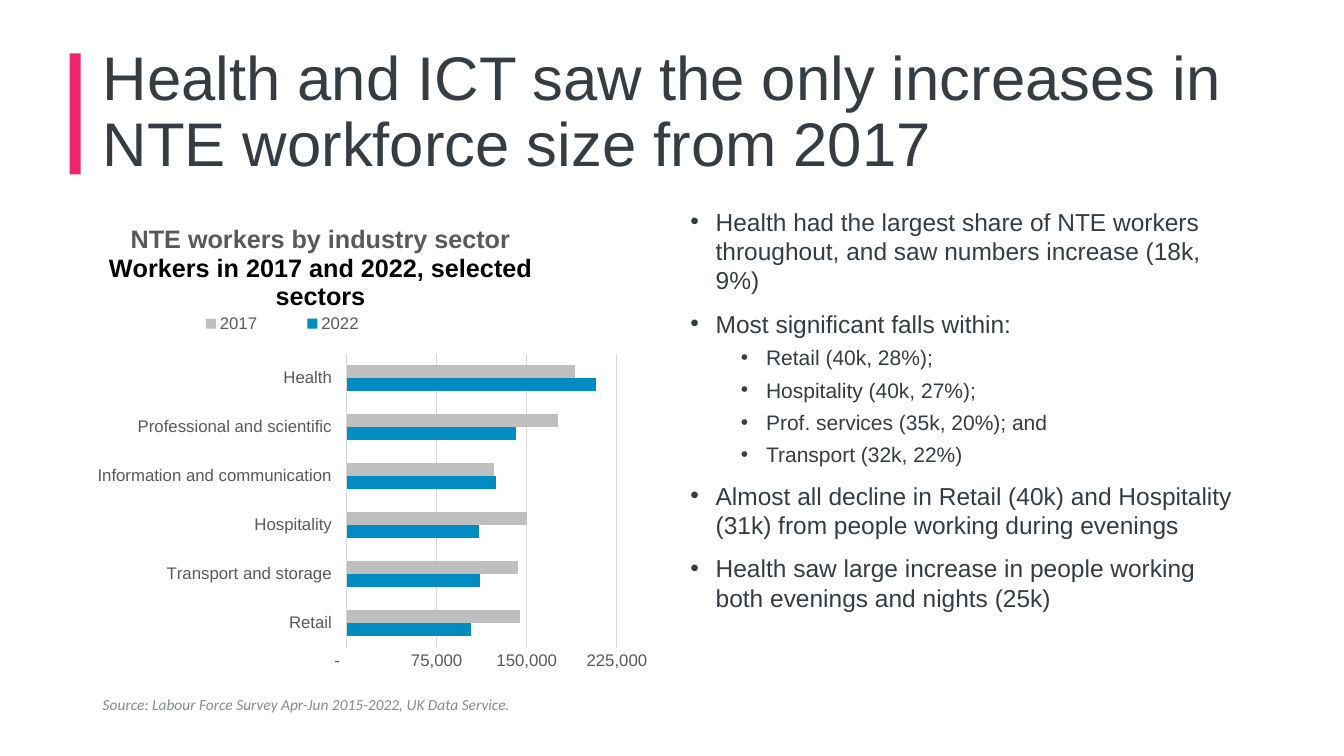
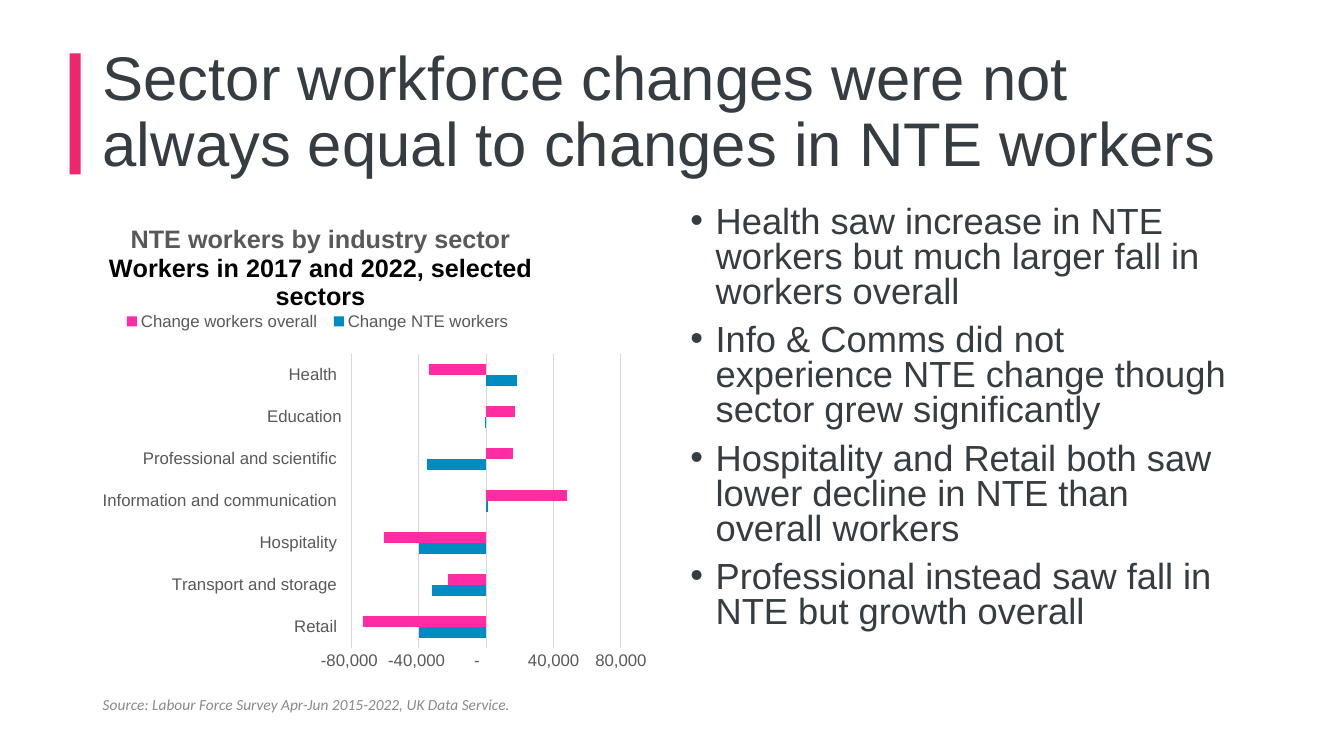
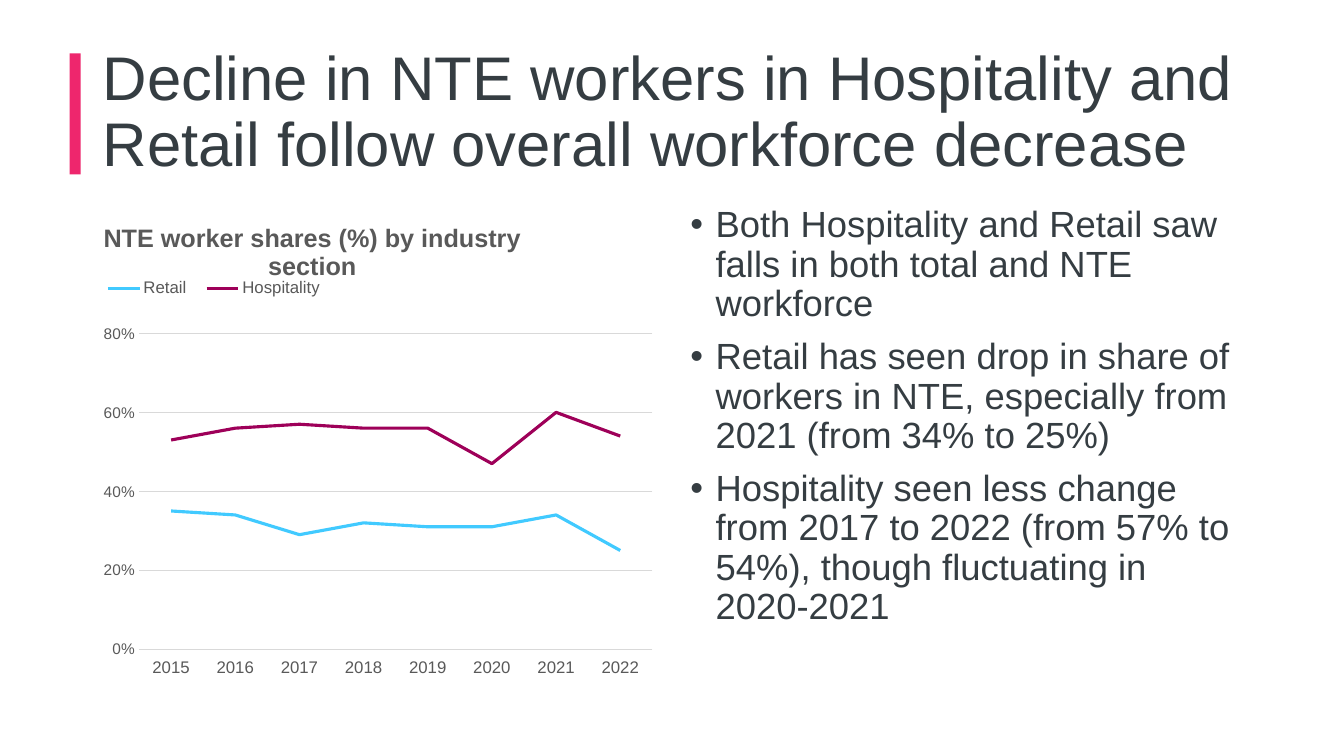
from lxml import etree
from pptx import Presentation
from pptx.chart.data import CategoryChartData
from pptx.dml.color import RGBColor
from pptx.enum.chart import (XL_CHART_TYPE, XL_LEGEND_POSITION,
                             XL_TICK_LABEL_POSITION, XL_TICK_MARK)
from pptx.enum.shapes import MSO_SHAPE
from pptx.enum.text import MSO_ANCHOR
from pptx.oxml.ns import qn
from pptx.util import Inches, Pt

BAR, LINE = XL_CHART_TYPE.BAR_CLUSTERED, XL_CHART_TYPE.LINE
TOP = XL_LEGEND_POSITION.TOP
LOW = XL_TICK_LABEL_POSITION.LOW
NO_TICK = XL_TICK_MARK.NONE
RECTANGLE = MSO_SHAPE.RECTANGLE
MIDDLE = MSO_ANCHOR.MIDDLE

PINK = RGBColor(0xEE, 0x26, 0x6D)
SLATE = RGBColor(0x35, 0x3D, 0x42)
SOURCE_GREY = RGBColor(0x86, 0x8B, 0x8E)
AXIS_GREY = RGBColor(0x59, 0x59, 0x59)
GRID_GREY = RGBColor(0xD9, 0xD9, 0xD9)
BAR_GREY = RGBColor(0xBF, 0xBF, 0xBF)
BLACK = RGBColor(0, 0, 0)
BLUE = RGBColor(0x00, 0x8B, 0xC1)
MAGENTA = RGBColor(0xFF, 0x2C, 0xA3)
SKY = RGBColor(0x41, 0xCA, 0xFF)
PLUM = RGBColor(0x9E, 0x00, 0x59)

# Boxes are left, top, width, height in inches
ACCENT_BOX = (0.69, 0.53, 0.11, 1.2)
TITLE_BOX = (0.92, 0.4, 11.5, 1.45)
CHART_BOX = (0.92, 2, 5.67, 4.76)
BODY_BOX = (6.75, 2, 5.67, 4.76)
SOURCE_BOX = (0.92, 6.85, 9.35, 0.29)

TITLE_FONT = {"name": "Arial", "size": Pt(44)}
SOURCE_FONT = {"name": "Calibri", "size": Pt(11), "italic": True}
AXIS_FONT = {"name": "Arial", "size": Pt(12)}
CHART_FONT = {"name": "Arial", "size": Pt(10)}
CHART_TITLE_FONT = {"name": "Arial", "size": Pt(18), "bold": True}

SOURCE = "Source: Labour Force Survey Apr-Jun 2015-2022, UK Data Service."
COUNT_FORMAT = '_-* #,##0_-;\\-* #,##0_-;_-* "-"??_-;_-@_'
SECTORS = ["Retail\u00a0", "Transport and storage\u00a0", "Hospitality\u00a0",
           "Information and communication\u00a0",
           "Professional and scientific\u00a0", "Health\u00a0"]
SECTOR_TITLE = ["NTE workers by industry sector",
                "Workers in 2017 and 2022, selected sectors"]


def set_font(font, values, color):
    for name, value in values.items():
        setattr(font, name, value)
    font.color.rgb = color


def add_text(page, box, text, font, color, anchor=None, spacing=None):
    frame = page.shapes.add_textbox(*map(Inches, box)).text_frame
    frame.word_wrap = True
    frame.vertical_anchor = anchor
    para = frame.paragraphs[0]
    para.line_spacing = spacing
    span = para.add_run()
    span.text = text
    set_font(span.font, font, color)


def add_page(deck, title):
    page = deck.slides.add_slide(deck.slide_layouts[6])
    accent = page.shapes.add_shape(RECTANGLE, *map(Inches, ACCENT_BOX))
    accent.shadow.inherit = False
    accent.fill.solid()
    accent.fill.fore_color.rgb = PINK
    accent.line.fill.background()
    add_text(page, TITLE_BOX, title, TITLE_FONT, SLATE, MIDDLE, 0.9)
    return page


def add_bullets(page, box, items, sizes, spacing):
    """Each item is (level, text); sizes holds one point size per level."""
    frame = page.shapes.add_textbox(*map(Inches, box)).text_frame
    frame.word_wrap = True
    for index, (level, text) in enumerate(items):
        para = frame.add_paragraph() if index else frame.paragraphs[0]
        para.level = level
        para.line_spacing = spacing
        para.space_before = Pt(5 if level else 10)
        span = para.add_run()
        span.text = text
        set_font(span.font, {"name": "Arial", "size": Pt(sizes[level])}, SLATE)
        # Hanging bullet
        properties = para._p.get_or_add_pPr()
        properties.set("marL", str(Inches(0.25 + 0.5 * level)))
        properties.set("indent", str(Inches(-0.25)))
        etree.SubElement(properties, qn("a:buFont")).set("typeface", "Arial")
        etree.SubElement(properties, qn("a:buChar")).set("char", "\u2022")


def place_part(chart, tag, index, outer, box):
    """Fix a chart part at a box on the page; a two-value box sets only its corner."""
    part = chart.element.find(".//" + qn(tag))
    for old in part.findall(qn("c:layout")):
        part.remove(old)
    layout = etree.Element(qn("c:layout"))
    part.insert(index, layout)
    manual = etree.SubElement(layout, qn("c:manualLayout"))
    left, top, width, height = outer
    fractions = [(box[0] - left) / width, (box[1] - top) / height]
    fractions += [size / whole for size, whole in zip(box[2:], (width, height))]
    values = {"xMode": "edge", "yMode": "edge"}
    if tag == "c:plotArea":
        values = {"layoutTarget": "inner", **values}
    values.update(zip("xywh", (f"{value:.3f}" for value in fractions)))
    for name, value in values.items():
        etree.SubElement(manual, qn("c:" + name)).set("val", value)


def style_axes(chart, limits, number_format, value_size):
    category, value = chart.category_axis, chart.value_axis
    for axis in (category, value):
        axis.major_tick_mark = axis.minor_tick_mark = NO_TICK
        set_font(axis.tick_labels.font, AXIS_FONT, AXIS_GREY)
    category.has_major_gridlines = False
    category.tick_label_position = LOW
    value.tick_labels.font.size = Pt(value_size)
    value.tick_labels.number_format = number_format
    value.tick_labels.number_format_is_linked = False
    value.minimum_scale, value.maximum_scale, value.major_unit = limits
    value.format.line.fill.background()
    value.has_major_gridlines = True
    for line in (category.format.line, value.major_gridlines.format.line):
        line.color.rgb = GRID_GREY
        line.width = Pt(0.75)


def add_chart(page, box, kind, title, categories, series, limits,
              number_format, places, value_size=12):
    """Each series is (name, colour, values); places maps chart parts to boxes."""
    data = CategoryChartData(number_format=number_format)
    data.categories = categories
    for name, _, values in series:
        data.add_series(name, values)
    chart = page.shapes.add_chart(kind, *map(Inches, box), data).chart
    set_font(chart.font, CHART_FONT, BLACK)
    style_axes(chart, limits, number_format, value_size)

    # Title and legend
    chart.has_title = True
    frame = chart.chart_title.text_frame
    for index, (text, color) in enumerate(zip(title, (AXIS_GREY, BLACK))):
        para = frame.add_paragraph() if index else frame.paragraphs[0]
        span = para.add_run()
        span.text = text
        set_font(span.font, CHART_TITLE_FONT, color)
    chart.has_legend = True
    chart.legend.position = TOP
    chart.legend.include_in_layout = False
    set_font(chart.legend.font, AXIS_FONT, AXIS_GREY)

    # Series
    plot = chart.plots[0]
    plot.vary_by_categories = False
    if kind == BAR:
        plot.gap_width = 182
    for drawn, (_, color, _) in zip(plot.series, series):
        if kind == BAR:
            drawn.format.fill.solid()
            drawn.format.fill.fore_color.rgb = color
            drawn.invert_if_negative = False
        else:
            drawn.smooth = False
            drawn.format.line.color.rgb = color
            drawn.format.line.width = Pt(2.25)

    for tag, index in (("c:title", 1), ("c:legend", 1), ("c:plotArea", 0)):
        place_part(chart, tag, index, box, places[tag])


def build_sector_sizes(deck):
    page = add_page(deck, "Health and ICT saw the only increases in "
                          "NTE workforce size from 2017")
    add_bullets(page, BODY_BOX, [
        (0, "Health had the largest share of NTE workers throughout, "
            "and saw numbers increase (18k, 9%)"),
        (0, "Most significant falls within:"),
        (1, "Retail (40k, 28%);"),
        (1, "Hospitality (40k, 27%);"),
        (1, "Prof. services (35k, 20%); and"),
        (1, "Transport (32k, 22%)"),
        (0, "Almost all decline in Retail (40k) and Hospitality (31k) "
            "from people working during evenings"),
        (0, "Health saw large increase in people working both evenings "
            "and nights (25k)"),
    ], (17.5, 15), 1.0)
    add_chart(page, CHART_BOX, BAR, SECTOR_TITLE, SECTORS, [
        ("2022", BLUE, (104000, 111000, 110000, 124000, 141000, 208000)),
        ("2017", BAR_GREY, (144000, 143000, 150000, 123000, 176000, 190000)),
    ], (0, 225000, 75000), COUNT_FORMAT, {
        "c:title": (1.05, 2.19),
        "c:legend": (1.6, 3.05, 2.4, 0.32),
        "c:plotArea": (3.44, 3.51, 2.68, 2.92),
    })
    add_text(page, SOURCE_BOX, SOURCE, SOURCE_FONT, SOURCE_GREY)


def build_sector_changes(deck):
    page = add_page(deck, "Sector workforce changes were not always equal "
                          "to changes in NTE workers")
    add_bullets(page, BODY_BOX, [
        (0, "Health saw increase in NTE workers but much larger fall in "
            "workers overall"),
        (0, "Info & Comms did not experience NTE change though sector grew "
            "significantly"),
        (0, "Hospitality and Retail both saw lower decline in NTE than "
            "overall workers"),
        (0, "Professional instead saw fall in NTE but growth overall"),
    ], (25.9,), 0.8)
    sectors = SECTORS[:-1] + ["Education"] + SECTORS[-1:]
    add_chart(page, CHART_BOX, BAR, SECTOR_TITLE, sectors, [
        ("Change NTE workers", BLUE,
         (-40000, -32000, -40000, 1000, -35000, -1000, 18000)),
        ("Change workers overall", MAGENTA,
         (-73000, -23000, -61000, 48000, 16000, 17000, -34000)),
    ], (-80000, 80000, 40000), COUNT_FORMAT, {
        "c:title": (1.05, 2.19),
        "c:legend": (1.15, 3.03, 4, 0.32),
        "c:plotArea": (3.49, 3.51, 2.67, 2.92),
    })
    add_text(page, SOURCE_BOX, SOURCE, SOURCE_FONT, SOURCE_GREY)


def build_worker_shares(deck):
    page = add_page(deck, "Decline in NTE workers in Hospitality and Retail "
                          "follow overall workforce decrease")
    add_bullets(page, BODY_BOX, [
        (0, "Both Hospitality and Retail saw falls in both total and NTE "
            "workforce"),
        (0, "Retail has seen drop in share of workers in NTE, especially "
            "from 2021 (from 34% to 25%)"),
        (0, "Hospitality seen less change from 2017 to 2022 (from 57% to "
            "54%), though fluctuating in 2020-2021"),
    ], (26,), 0.9)
    years = [str(year) for year in range(2015, 2023)]
    add_chart(page, CHART_BOX, LINE,
              ["NTE worker shares (%) by industry section"], years, [
        ("Retail\u00a0", SKY,
         (0.35, 0.34, 0.29, 0.32, 0.31, 0.31, 0.34, 0.25)),
        ("Hospitality\u00a0", PLUM,
         (0.53, 0.56, 0.57, 0.56, 0.56, 0.47, 0.6, 0.54)),
    ], (0, 0.8, 0.2), "0%", {
        "c:title": (0.98, 2.15),
        "c:legend": (0.97, 2.7, 2.35, 0.32),
        "c:plotArea": (1.38, 3.31, 5.09, 3.13),
    }, value_size=11)


deck = Presentation()
deck.slide_width, deck.slide_height = Inches(13.33), Inches(7.5)
for build in (build_sector_sizes, build_sector_changes, build_worker_shares):
    build(deck)
deck.save("out.pptx")
